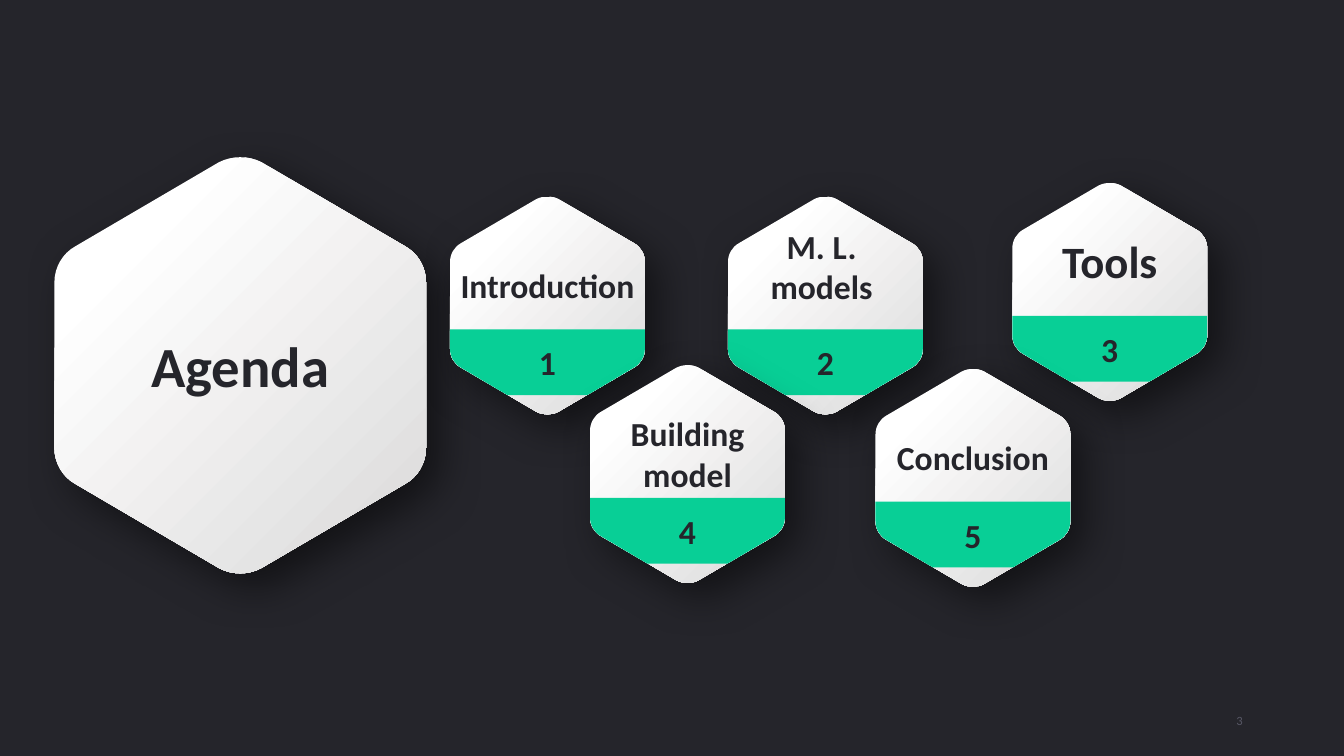
from dataclasses import dataclass

from lxml import etree
from pptx import Presentation
from pptx import util as u
from pptx.dml.color import RGBColor
from pptx.enum import text
from pptx.oxml.ns import qn


@dataclass(frozen=True)
class Theme:
    font: str = "Calibri"
    background: str = "25252B"
    ink: str = "25252B"
    muted: str = "575765"
    accent: str = "08CF96"
    light: str = "FFFFFF"
    shade: str = "DAD9D9"
    shadow: str = "000000"
    title_size: float = 40.5
    large_size: float = 32
    label_size: float = 24
    page_size: float = 9


THEME = Theme()
WIDTH, HEIGHT = u.Inches(13.33), u.Inches(7.5)
TILE_WIDTH, TILE_HEIGHT = 14.5, 28.8
COLUMNS = (33.48, 43.9, 54.16, 65.14, 75.32)
LINE_HEIGHT = 1.22
BAND_TOP, BAND_BOTTOM = 61, 91.2

AGENDA_ITEMS = [
    ("1", ["Introduction"], COLUMNS[0], 26, THEME.label_size, 24),
    ("2", ["M. L. ", "models "], COLUMNS[2], 26, THEME.label_size, 46),
    ("3", ["Tools"], COLUMNS[4], 24.2, THEME.large_size, 36),
    ("4", ["Building model"], COLUMNS[1], 48.3, THEME.label_size, 24),
    ("5", ["Conclusion"], COLUMNS[3], 48.8, THEME.label_size, 24),
]


def mirror(points, across_x=False, across_y=False):
    return [(100 - x if across_x else x, 100 - y if across_y else y) for x, y in points]


def corner(points):
    return [("lnTo", points[:1]), ("cubicBezTo", points[1:])]


HALF_TIP = [(50, 0), (52, 0), (53.9, 0.4), (55.7, 1.2)]
FOOT = [(55.7, 98.8), (52.2, 100.5), (47.8, 100.5), (44.3, 98.8)]
SHOULDER = [(94.3, 21.4), (97.8, 23.1), (100, 26.5), (100, 30.1)]
LOWER_RIGHT = corner(mirror(SHOULDER, across_y=True)[::-1])
LOWER_LEFT = corner(mirror(SHOULDER, across_x=True, across_y=True))
HEXAGON = ([("moveTo", HALF_TIP[:1]), ("cubicBezTo", HALF_TIP[1:])]
           + corner(SHOULDER) + LOWER_RIGHT + corner(FOOT) + LOWER_LEFT
           + corner(mirror(SHOULDER, across_x=True)[::-1])
           + corner(mirror(HALF_TIP, across_x=True)[::-1]))
BAND = ([("moveTo", [(0, BAND_TOP)]), ("lnTo", [(100, BAND_TOP)])] + LOWER_RIGHT
        + [("lnTo", [(70.5, BAND_BOTTOM)]), ("lnTo", [(29.5, BAND_BOTTOM)])] + LOWER_LEFT)


def add_outline(shapes, outline, left, top, width, height, start=0, end=100):
    def place(x, y):
        return (round((left + x * width / 100) * WIDTH / 100),
                round((top + y * height / 100) * HEIGHT / 100))

    builder = shapes.build_freeform(*place(0, start))
    builder.add_line_segments([place(100, start), place(100, end), place(0, end)])
    shape = builder.convert_to_shape()
    contour = shape._element.spPr.find(".//" + qn("a:path"))
    for segment in list(contour):
        contour.remove(segment)
    origin_x, origin_y = place(0, start)
    for command, points in outline:
        segment = etree.SubElement(contour, qn("a:" + command))
        for point in points:
            x, y = place(*point)
            etree.SubElement(segment, qn("a:pt"), x=str(x - origin_x), y=str(y - origin_y))
    etree.SubElement(contour, qn("a:close"))
    shape.line.fill.background()
    shape.shadow.inherit = False
    return shape


def add_shadow(shape):
    effects = shape._element.spPr.find(qn("a:effectLst"))
    shadow = etree.SubElement(effects, qn("a:outerShdw"), blurRad=str(u.Pt(30)),
                              dist=str(u.Pt(14)), dir="2700000", algn="tl", rotWithShape="0")
    color = etree.SubElement(shadow, qn("a:srgbClr"), val=THEME.shadow)
    etree.SubElement(color, qn("a:alpha"), val="50000")


def write_text(shape, lines, size, color=THEME.ink, bold=True,
               alignment=text.PP_ALIGN.CENTER, lift=0):
    frame = shape.text_frame
    frame.word_wrap = True
    frame.vertical_anchor = text.MSO_ANCHOR.MIDDLE
    frame.margin_left = frame.margin_right = u.Inches(0.06)
    frame.margin_top = u.Inches(0.03)
    frame.margin_bottom = u.Inches(0.03) + u.Pt(lift * LINE_HEIGHT)
    for index, line in enumerate(lines):
        paragraph = frame.add_paragraph() if index else frame.paragraphs[0]
        paragraph.alignment = alignment
        run = paragraph.add_run()
        run.text = line
        run.font.name = THEME.font
        run.font.size = u.Pt(size)
        run.font.bold = bold
        run.font.color.rgb = RGBColor.from_string(color)


def add_hexagon(shapes, left, top, width, height, lines, size, lift=0):
    shape = add_outline(shapes, HEXAGON, left, top, width, height)
    shape.fill.gradient()
    shape.fill.gradient_angle = 315
    stops = ((0.2, THEME.light), (1, THEME.shade))
    for stop, (position, color) in zip(shape.fill.gradient_stops, stops):
        stop.position = position
        stop.color.rgb = RGBColor.from_string(color)
    add_shadow(shape)
    write_text(shape, lines, size, lift=lift)


def add_agenda_item(slide, number, lines, left, top, size, lift):
    group = slide.shapes.add_group_shape()
    bounds = (left, top, TILE_WIDTH, TILE_HEIGHT)
    add_hexagon(group.shapes, *bounds, lines, size, lift)
    band = add_outline(group.shapes, BAND, *bounds, BAND_TOP, BAND_BOTTOM)
    band.fill.solid()
    band.fill.fore_color.rgb = RGBColor.from_string(THEME.accent)
    write_text(band, [number], THEME.label_size)


def add_page_number(slide, number):
    box = slide.shapes.add_textbox(round(0.707 * WIDTH), round(0.927 * HEIGHT),
                                   round(0.225 * WIDTH), round(0.053 * HEIGHT))
    write_text(box, [number], THEME.page_size, THEME.muted, False, text.PP_ALIGN.RIGHT)
    box.text_frame.margin_right = u.Inches(0.1)


def main():
    presentation = Presentation()
    presentation.slide_width, presentation.slide_height = WIDTH, HEIGHT
    slide = presentation.slides.add_slide(presentation.slide_layouts[6])
    slide.background.fill.solid()
    slide.background.fill.fore_color.rgb = RGBColor.from_string(THEME.background)
    add_page_number(slide, "3")
    add_hexagon(slide.shapes, 4.05, 20.8, 27.65, 55, ["Agenda"], THEME.title_size)
    for item in AGENDA_ITEMS:
        add_agenda_item(slide, *item)
    presentation.save("out.pptx")


if __name__ == "__main__":
    main()
